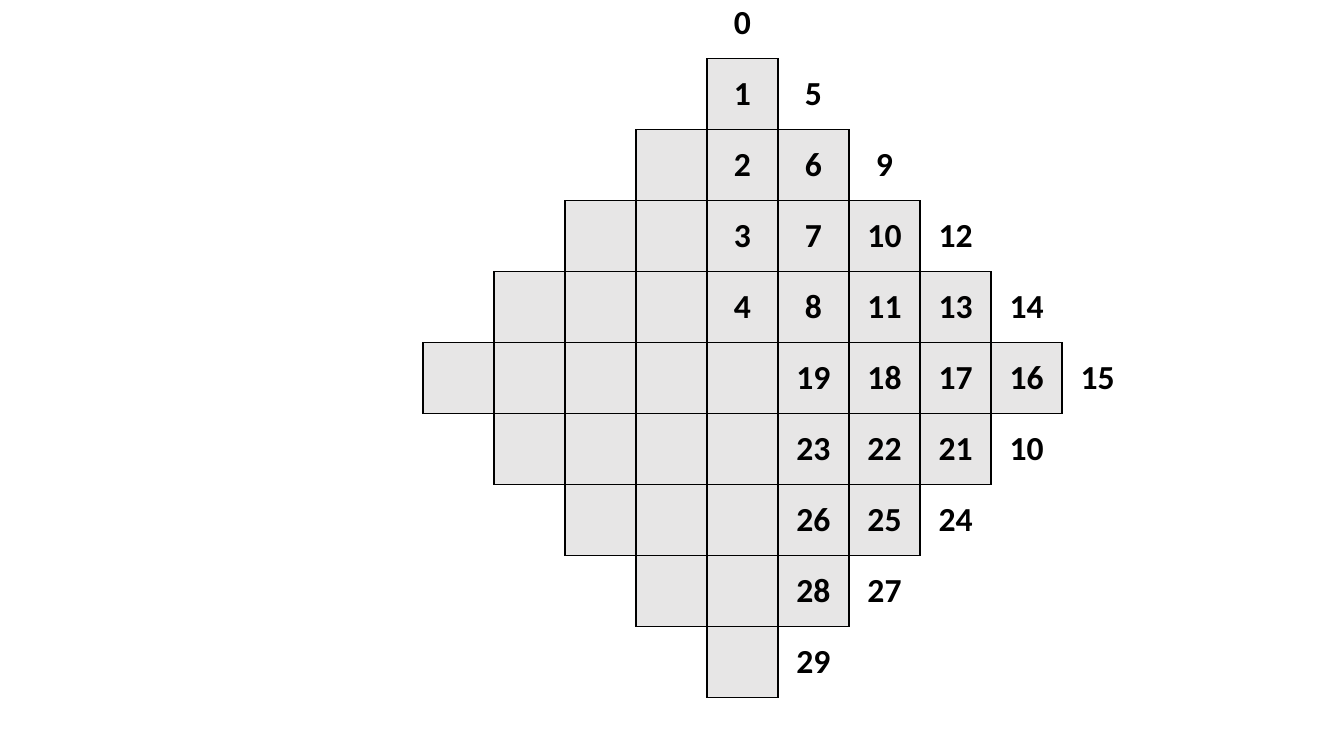
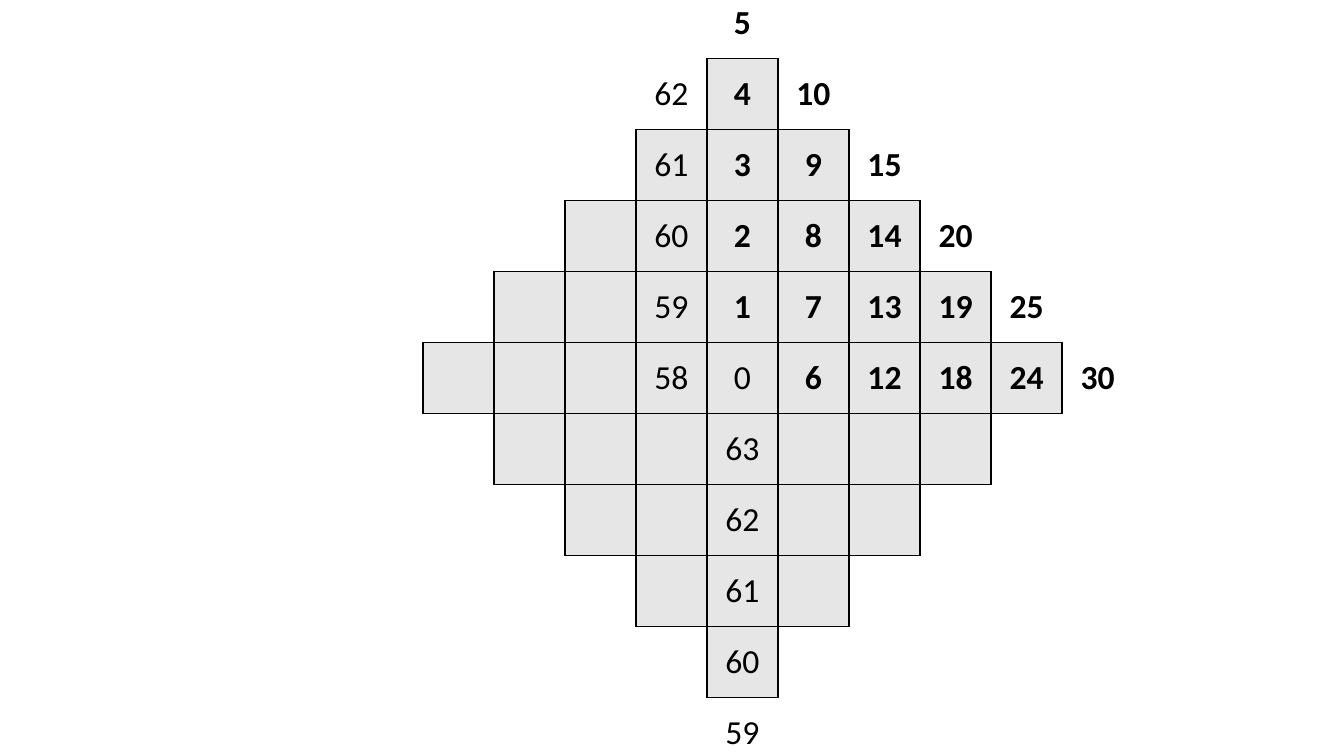
"""Build two slides that number the cells of a diamond-shaped grid."""
import lxml.etree
import pptx
import pptx.dml.color
import pptx.enum.text
import pptx.oxml.ns
import pptx.util

COLORS = {"cell": "E7E6E6", "line": "000000", "text": "000000"}
FONT = "Calibri"
TEXT_SIZE = pptx.util.Pt(24)
LINE_WIDTH = pptx.util.Pt(1)
GRID_SIZE = 11
CENTER = GRID_SIZE // 2
RADIUS = 4
CELL_SIZE = pptx.util.Inches(7.75 / GRID_SIZE)
GRID_LEFT = pptx.util.Inches(3.49)
GRID_TOP = pptx.util.Inches(-0.12)
SIDES = {"lnL": (0, -1), "lnR": (0, 1), "lnT": (-1, 0), "lnB": (1, 0)}

# Each entry: column, first row, numbers running downwards, bold
COLUMN_NUMBERS = [
    [
        (5, 0, "0 1 2 3 4", True),
        (6, 1, "5 6 7 8 19 23 26 28 29", True),
        (7, 2, "9 10 11 18 22 25 27", True),
        (8, 3, "12 13 17 21 24", True),
        (9, 4, "14 16 10", True),
        (10, 5, "15", True),
    ],
    [
        (4, 1, "62 61 60 59 58", False),
        (5, 0, "5 4 3 2 1", True),
        (5, 5, "0 63 62 61 60 59", False),
        (6, 1, "10 9 8 7 6", True),
        (7, 2, "15 14 13 12", True),
        (8, 3, "20 19 18", True),
        (9, 4, "25 24", True),
        (10, 5, "30", True),
    ],
]


def in_diamond(row, column):
    """Tell whether a cell belongs to the shaded diamond."""
    return abs(row - CENTER) + abs(column - CENTER) <= RADIUS


def add_border(cell, side, visible):
    """Give one side of a cell a solid line or no line."""
    properties = cell._tc.get_or_add_tcPr()
    line = lxml.etree.SubElement(
        properties, pptx.oxml.ns.qn(f"a:{side}"), w=str(LINE_WIDTH if visible else 0))
    fill_tag = "a:solidFill" if visible else "a:noFill"
    fill = lxml.etree.SubElement(line, pptx.oxml.ns.qn(fill_tag))
    if visible:
        lxml.etree.SubElement(fill, pptx.oxml.ns.qn("a:srgbClr"), val=COLORS["line"])


def style_cell(cell, row, column):
    """Set the borders and the fill that a grid position calls for."""
    shaded = in_diamond(row, column)
    for side, (row_step, column_step) in SIDES.items():
        add_border(cell, side, shaded or in_diamond(row + row_step, column + column_step))
    if shaded:
        cell.fill.solid()
        cell.fill.fore_color.rgb = pptx.dml.color.RGBColor.from_string(COLORS["cell"])
    else:
        cell.fill.background()


def write_number(cell, number, bold):
    """Write a centred number into a cell."""
    cell.vertical_anchor = pptx.enum.text.MSO_ANCHOR.MIDDLE
    paragraph = cell.text_frame.paragraphs[0]
    paragraph.alignment = pptx.enum.text.PP_ALIGN.CENTER
    run = paragraph.add_run()
    run.text = number
    run.font.name = FONT
    run.font.size = TEXT_SIZE
    run.font.bold = bold
    run.font.color.rgb = pptx.dml.color.RGBColor.from_string(COLORS["text"])


def add_diamond_grid(slide):
    """Add the square table with its shaded diamond."""
    extent = CELL_SIZE * GRID_SIZE
    table = slide.shapes.add_table(
        GRID_SIZE, GRID_SIZE, GRID_LEFT, GRID_TOP, extent, extent).table
    table.first_row = False
    table.horz_banding = False
    for index in range(GRID_SIZE):
        table.columns[index].width = CELL_SIZE
        table.rows[index].height = CELL_SIZE
        for column in range(GRID_SIZE):
            style_cell(table.cell(index, column), index, column)
    return table


def main():
    """Create and save the presentation."""
    presentation = pptx.Presentation()
    presentation.slide_width = pptx.util.Inches(13.33)
    presentation.slide_height = pptx.util.Inches(7.5)
    for column_numbers in COLUMN_NUMBERS:
        slide = presentation.slides.add_slide(presentation.slide_layouts[6])
        table = add_diamond_grid(slide)
        for column, first_row, numbers, bold in column_numbers:
            for row, number in enumerate(numbers.split(), first_row):
                write_number(table.cell(row, column), number, bold)
    presentation.save("out.pptx")


if __name__ == "__main__":
    main()
